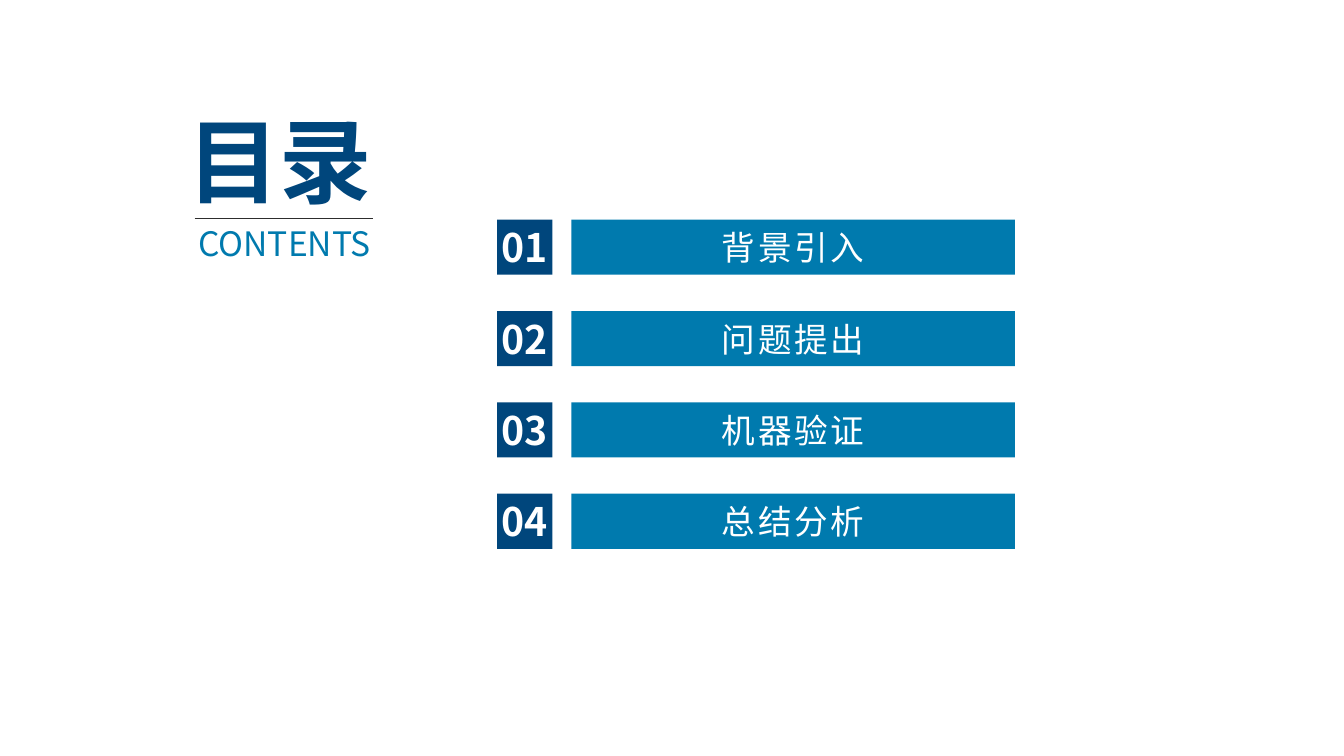
from lxml import etree
from pptx import Presentation
from pptx.dml.color import RGBColor
from pptx.enum import shapes, text
from pptx.oxml import ns
from pptx.util import Pt

NAVY = RGBColor(0x00, 0x46, 0x7C)
BLUE = RGBColor(0x00, 0x7A, 0xAE)
DARK = RGBColor(0x2D, 0x2D, 0x2D)
WHITE = RGBColor(0xFF, 0xFF, 0xFF)
FONT = "Noto Sans CJK SC"
TOPICS = ["背景引入", "问题提出", "机器验证", "总结分析"]


def write(frame, words, size, color, bold=False, gap=0):
    """Add one centred run to a text frame."""
    para = frame.paragraphs[0]
    para.alignment = text.PP_ALIGN.CENTER
    run = para.add_run()
    run.text = words
    font = run.font
    font.size, font.bold, font.name = Pt(size), bold, FONT
    font.color.rgb = color
    props = run._r.get_or_add_rPr()
    etree.SubElement(props, ns.qn("a:ea")).set("typeface", FONT)
    if gap:
        props.set("spc", str(gap * 100))


def label(slide, box, words, size, color, bold=False):
    """Place a text box that fits its single line."""
    frame = slide.shapes.add_textbox(*map(Pt, box)).text_frame
    frame.word_wrap = False
    frame.auto_size = text.MSO_AUTO_SIZE.SHAPE_TO_FIT_TEXT
    write(frame, words, size, color, bold)


def block(slide, box, fill):
    """Place a plain filled rectangle and return its text frame."""
    shape = slide.shapes.add_shape(shapes.MSO_SHAPE.RECTANGLE, *map(Pt, box))
    shape.shadow.inherit = False
    shape.fill.solid()
    shape.fill.fore_color.rgb = fill
    shape.line.fill.background()
    frame = shape.text_frame
    frame.vertical_anchor = text.MSO_ANCHOR.MIDDLE
    return frame


def heading(slide, left, top, width, height):
    """Draw the title, the rule below it and the subtitle."""
    mid = top + 85
    label(slide, (left, top, width, height - 36), "目录", 66, NAVY, True)
    rule = slide.shapes.add_connector(
        shapes.MSO_CONNECTOR.STRAIGHT,
        Pt(left + 13), Pt(mid), Pt(left + 140.5), Pt(mid))
    rule.line.color.rgb = DARK
    rule.line.width = Pt(0.5)
    etree.SubElement(rule._element.spPr, ns.qn("a:effectLst"))
    label(slide, (left + 5, mid, width - 3, 36), "CONTENTS", 24, BLUE)


def agenda(slide, left, top, width, height):
    """Draw a numbered square and a bar for each topic."""
    side, space = 39.4, 13.6
    step = (height - side) / (len(TOPICS) - 1)
    for i, topic in enumerate(TOPICS):
        y = top + i * step
        number = block(slide, (left, y, side, side), NAVY)
        number.margin_left = number.margin_right = 0
        number.margin_top = number.margin_bottom = 0
        write(number, f"{i + 1:02}", 28, WHITE, True)
        start = side + space
        bar = block(slide, (left + start, y, width - start, side), BLUE)
        write(bar, topic, 24, WHITE, gap=2)


def main():
    """Build the contents slide and save it."""
    deck = Presentation()
    deck.slide_width, deck.slide_height = Pt(960), Pt(540)
    slide = deck.slides.add_slide(deck.slide_layouts[6])
    heading(slide, 126, 71, 147.6, 123)
    agenda(slide, 355.2, 156.9, 369.8, 235.2)
    deck.save("out.pptx")


if __name__ == "__main__":
    main()
